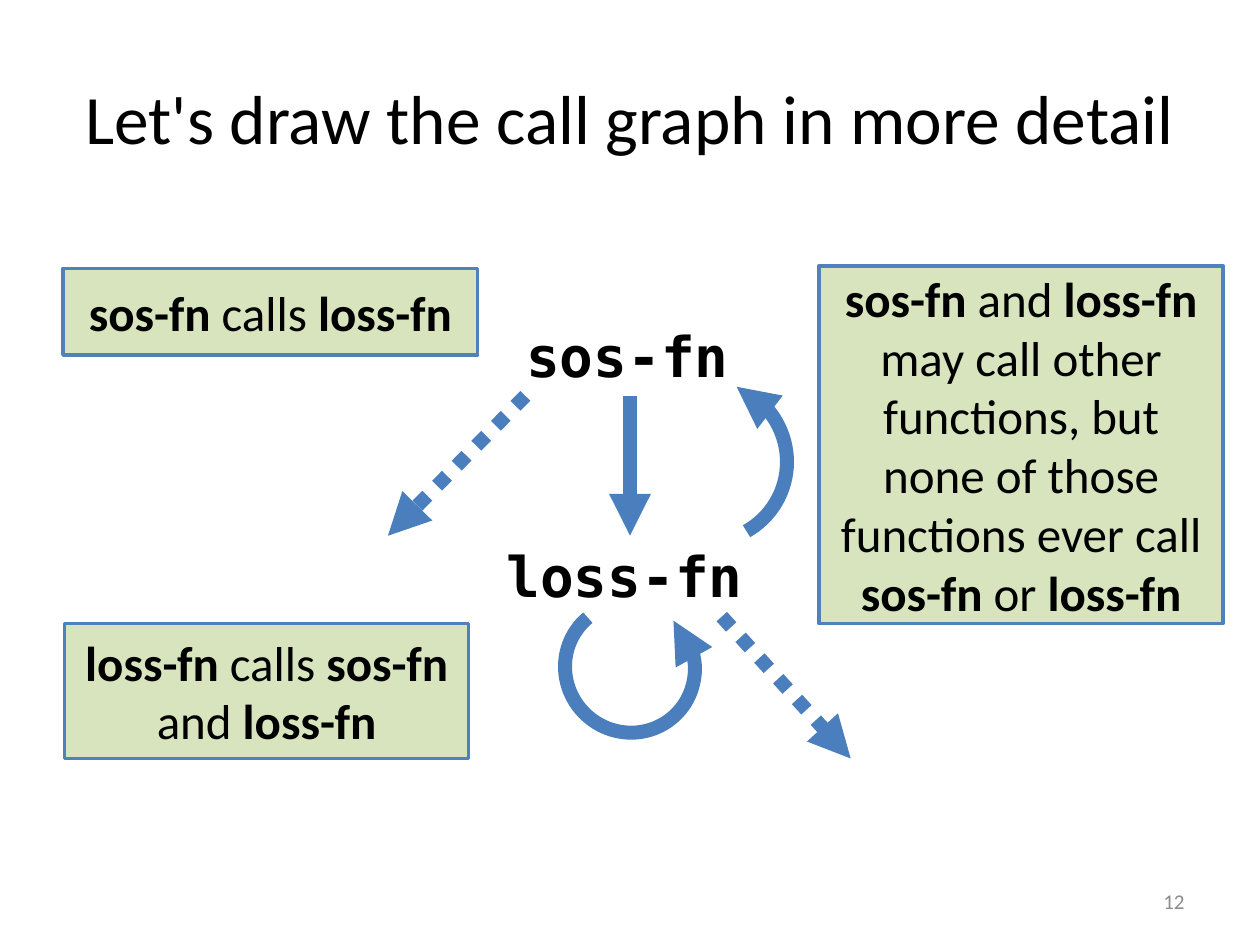
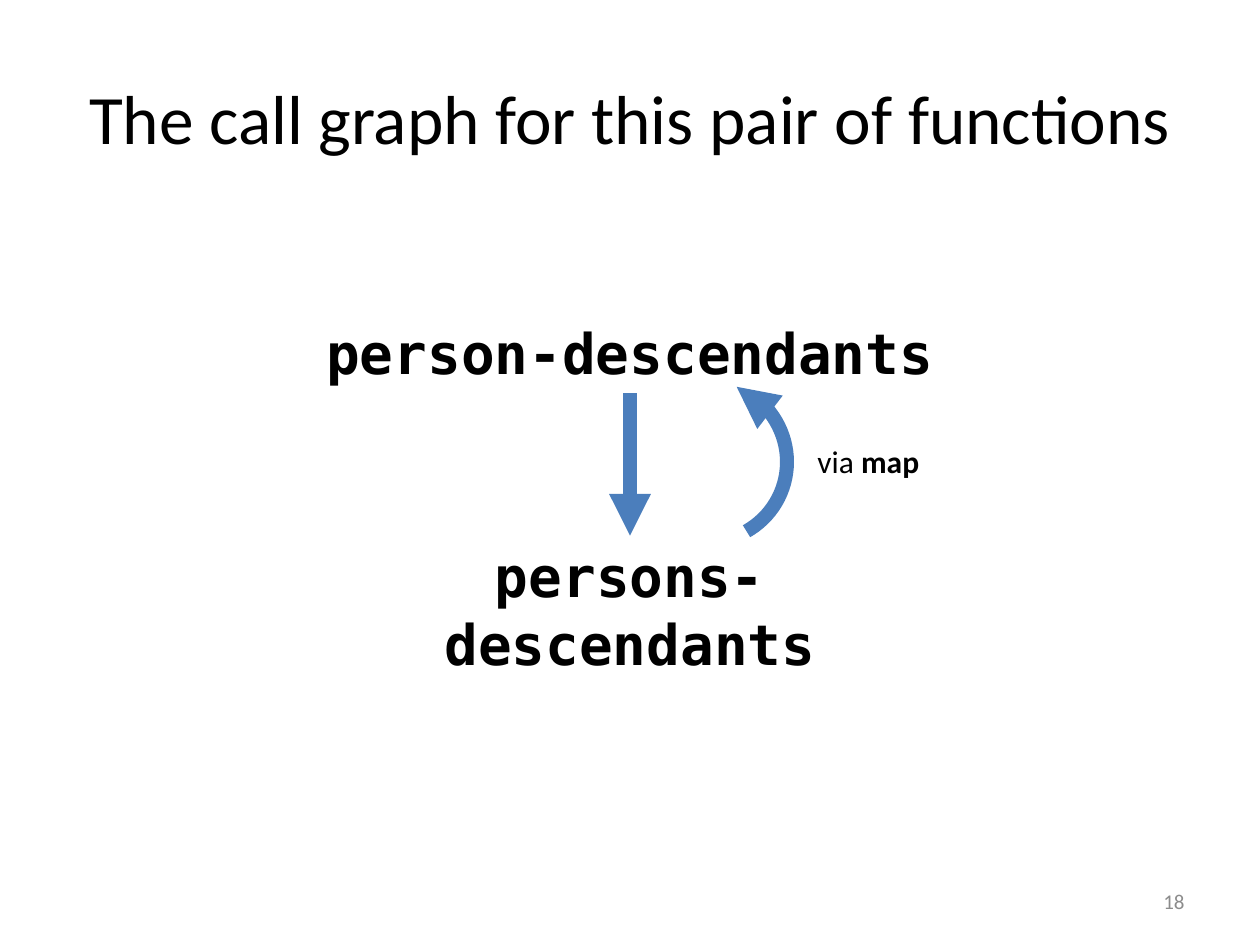
from dataclasses import dataclass

from lxml import etree
from pptx import Presentation
from pptx import util as u
from pptx.dml.color import RGBColor
from pptx.enum import dml, shapes, text
from pptx.oxml.ns import qn


@dataclass(frozen=True)
class Theme:
    ink: str = "000000"
    muted: str = "8C8C8C"
    arrow: str = "4B7EBC"
    note_fill: str = "D7E4BD"
    note_edge: str = "4F81BD"
    body_font: str = "Calibri"
    code_font: str = "DejaVu Sans Mono"
    title_size: float = 39.6
    code_size: float = 32
    note_size: float = 28
    label_size: float = 18
    number_size: float = 12
    arrow_width: float = 8
    note_edge_width: float = 2


LEFT, CENTER, RIGHT = text.PP_ALIGN.LEFT, text.PP_ALIGN.CENTER, text.PP_ALIGN.RIGHT
TOP, MIDDLE = text.MSO_ANCHOR.TOP, text.MSO_ANCHOR.MIDDLE

# Shared places in the call graph, in cm
SPINE = 12.7
CALLER_TOP, CALLEE_TOP, NAME_HEIGHT = 6.35, 10.8, 1.63


class Deck:
    def __init__(self, theme):
        self.theme = theme
        self.prs = Presentation()
        self.prs.slide_width, self.prs.slide_height = u.Cm(25.4), u.Cm(19.05)
        self.slide = None

    def new_slide(self, title, number):
        t = self.theme
        self.slide = self.prs.slides.add_slide(self.prs.slide_layouts[6])
        self.words(title, (1.27, 0.76, 22.86, 3.18), t.title_size, CENTER, MIDDLE)
        self.words(number, (18.21, 17.65, 5.92, 1.02), t.number_size, RIGHT, MIDDLE,
                   color=t.muted)

    def set_text(self, shape, marked, size, align, anchor, wrap=True, font=None, color=None):
        """Fill a shape with one paragraph; parts between asterisks are bold."""
        frame = shape.text_frame
        for name, value in {"word_wrap": wrap, "vertical_anchor": anchor}.items():
            setattr(frame, name, value)
        paragraph = frame.paragraphs[0]
        paragraph.alignment = align
        for i, part in enumerate(marked.split("*")):
            if not part:
                continue
            run = paragraph.add_run()
            run.text = part
            style = {"name": font or self.theme.body_font, "size": u.Pt(size),
                     "bold": i % 2 == 1}
            for name, value in style.items():
                setattr(run.font, name, value)
            run.font.color.rgb = RGBColor.from_string(color or self.theme.ink)

    def words(self, marked, box, size, align=LEFT, anchor=TOP, **style):
        area = self.slide.shapes.add_textbox(*map(u.Cm, box))
        self.set_text(area, marked, size, align, anchor, **style)

    def function_name(self, name, left, top, width, align=LEFT):
        self.words(f"*{name}*", (left, top, width, NAME_HEIGHT), self.theme.code_size,
                   align, font=self.theme.code_font)

    def preset(self, kind, box):
        shape = self.slide.shapes.add_shape(kind, *map(u.Cm, box))
        shape.shadow.inherit = False
        return shape

    def note(self, marked, *box):
        t = self.theme
        panel = self.preset(shapes.MSO_SHAPE.RECTANGLE, box)
        panel.fill.solid()
        panel.fill.fore_color.rgb = RGBColor.from_string(t.note_fill)
        panel.line.color.rgb = RGBColor.from_string(t.note_edge)
        panel.line.width = u.Pt(t.note_edge_width)
        self.set_text(panel, marked, t.note_size, CENTER, MIDDLE)

    def arrow_line(self, shape, end, dotted=False):
        line = shape.line
        line.color.rgb = RGBColor.from_string(self.theme.arrow)
        line.width = u.Pt(self.theme.arrow_width)
        if dotted:
            line.dash_style = dml.MSO_LINE.ROUND_DOT
        ln = shape._element.spPr.find(qn("a:ln"))
        etree.SubElement(ln, qn(f"a:{end}")).set("type", "triangle")

    def call(self, x1, y1, x2, y2, dotted=False):
        link = self.slide.shapes.add_connector(
            shapes.MSO_CONNECTOR.STRAIGHT, *map(u.Cm, (x1, y1, x2, y2)))
        self.arrow_line(link, "tailEnd", dotted)
        etree.SubElement(link._element.spPr, qn("a:effectLst"))

    def curved_call(self, box, rotation, sweep_end):
        curve = self.preset(shapes.MSO_SHAPE.ARC, box)
        curve.adjustments[0], curve.adjustments[1] = 162, sweep_end
        curve.rotation = rotation
        curve.fill.background()
        self.arrow_line(curve, "headEnd")

    def call_back(self):
        self.curved_call((12.57, 7.67, 3.3, 3.25), 22.9, 22.01)


def detailed_graph(deck):
    deck.new_slide("Let's draw the call graph in more detail", "12")
    # Functions and the calls between them
    deck.function_name("sos-fn", 10.36, CALLER_TOP, 4.65)
    deck.function_name("loss-fn", 9.96, CALLEE_TOP, 5.51)
    deck.call(SPINE, CALLER_TOP + NAME_HEIGHT, SPINE, CALLEE_TOP)
    deck.curved_call((11.38, 12.17, 2.64, 2.59), 42.7, 112.39)
    deck.call_back()
    # Calls to other functions
    deck.call(14.55, CALLEE_TOP + NAME_HEIGHT, 17.15, 15.29, dotted=True)
    deck.call(10.59, CALLER_TOP + NAME_HEIGHT, 7.82, CALLEE_TOP, dotted=True)
    # Explanations
    deck.note("*sos-fn* calls *loss-fn*", 1.27, 5.41, 8.36, 1.75)
    deck.note("*loss-fn* calls *sos-fn* and *loss-fn*", 1.3, 12.57, 8.15, 2.72)
    deck.note("*sos-fn* and *loss-fn* may call other functions, but none of those "
              "functions ever call *sos-fn* or *loss-fn*", 16.51, 5.36, 8.15, 7.21)


def descendants_graph(deck):
    deck.new_slide("The call graph for this pair of functions", "18")
    # Functions and the calls between them
    caller_top = CALLER_TOP - 0.05
    deck.function_name("person-descendants", 5.18, caller_top, 15.04, CENTER)
    deck.function_name("persons-descendants", 6.35, CALLEE_TOP, 12.7, CENTER)
    deck.call(SPINE, caller_top + NAME_HEIGHT, SPINE, CALLEE_TOP)
    deck.call_back()
    deck.words("via *map*", (16.23, 8.79, 2.57, 1.02), deck.theme.label_size, wrap=False)


def main():
    deck = Deck(Theme())
    detailed_graph(deck)
    descendants_graph(deck)
    deck.prs.save("out.pptx")


if __name__ == "__main__":
    main()
